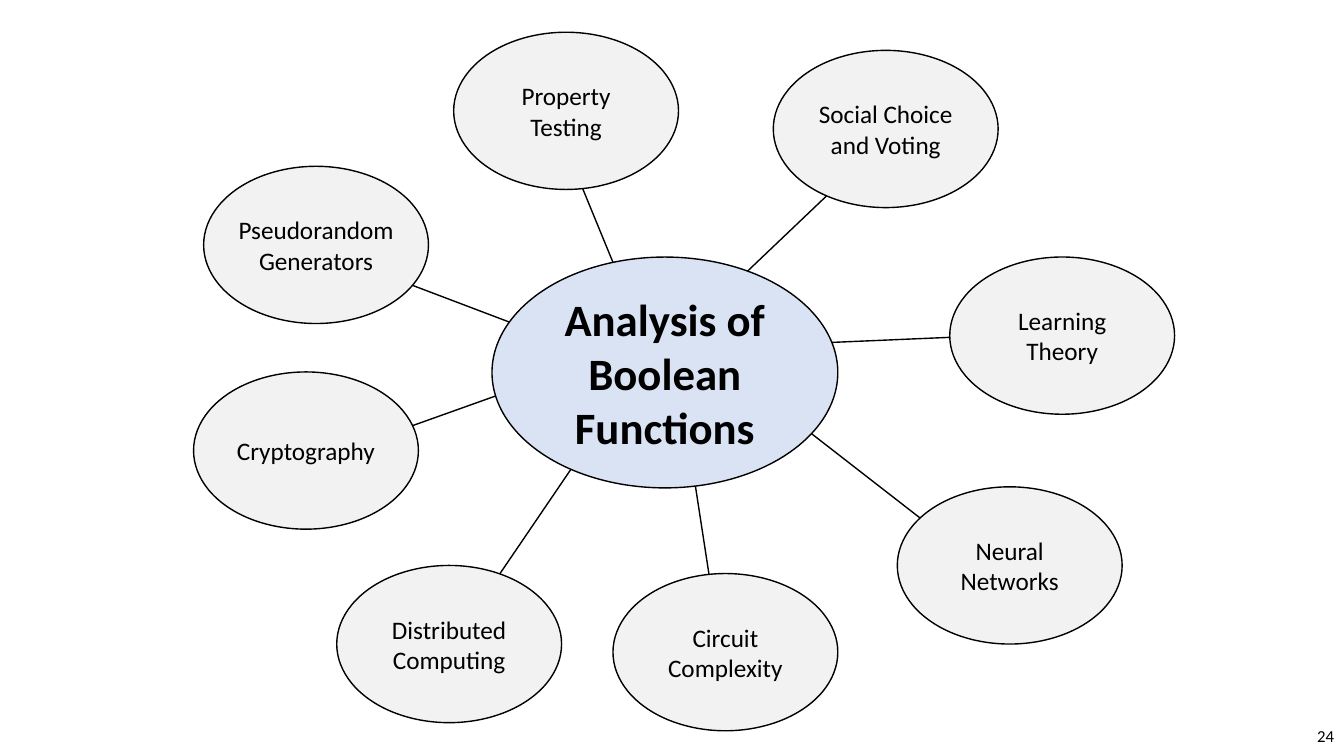
import pptx
import pptx.dml.color
import pptx.enum.shapes
import pptx.enum.text
import pptx.util
from pptx.oxml.ns import qn

EMU_PER_PX = 9144
FONT = "Calibri"
COLORS = {"ink": "000000", "hub": "DAE3F3", "topic": "F2F2F2"}
TOPIC_SIZE = (223, 156)
ALIGN = pptx.enum.text.PP_ALIGN

# label, left, top, inset, spoke start, spoke end
TOPICS = [
    ("Pseudorandom\nGenerators", 202, 165, 0, (393, 277), (538, 332)),
    ("Social Choice and Voting", 767, 50, 10, (837, 178), (732, 278)),
    ("Cryptography", 192, 369, 0, (382, 432), (508, 387)),
    ("Learning Theory", 942, 255, 0, (958, 334), (795, 341)),
    ("Neural Networks", 890, 483, 0, (932, 529), (793, 421)),
    ("Circuit Complexity", 608, 569, 0, (706, 588), (688, 471)),
    ("Distributed Computing", 334, 561, 0, (483, 588), (568, 463)),
    ("Property Testing", 450, 32, 10, (568, 163), (621, 292)),
]


def px(*lengths):
    return [pptx.util.Emu(length * EMU_PER_PX) for length in lengths]


def color(name):
    return pptx.dml.color.RGBColor.from_string(COLORS[name])


def write_text(shape, text, size=18, bold=False, align=ALIGN.CENTER, inset=10):
    frame = shape.text_frame
    frame.word_wrap = True
    frame.vertical_anchor = pptx.enum.text.MSO_ANCHOR.MIDDLE
    frame.margin_left, frame.margin_right = px(inset, inset)
    frame.margin_top, frame.margin_bottom = px(inset // 2, inset // 2)
    frame.text = text
    for paragraph in frame.paragraphs:
        paragraph.alignment = align
        paragraph.font.name = FONT
        paragraph.font.size = pptx.util.Pt(size)
        paragraph.font.bold = bold
        paragraph.font.color.rgb = color("ink")
        for run in paragraph.runs:
            run.font.color.rgb = color("ink")


def style_line(line):
    line.color.rgb = color("ink")
    line.width = pptx.util.Pt(1)


def add_bubble(slide, box, text, fill, **text_format):
    oval = pptx.enum.shapes.MSO_SHAPE.OVAL
    shape = slide.shapes.add_shape(oval, *px(*box))
    shape.shadow.inherit = False
    shape.fill.solid()
    shape.fill.fore_color.rgb = color(fill)
    style_line(shape.line)
    write_text(shape, text, **text_format)


def add_spoke(slide, start, end):
    straight = pptx.enum.shapes.MSO_CONNECTOR.STRAIGHT
    connector = slide.shapes.add_connector(straight, *px(*start, *end))
    style_line(connector.line)
    properties = connector._element.spPr
    properties.append(properties.makeelement(qn("a:effectLst"), {}))


def add_slide_number(slide, number):
    shape = slide.shapes.add_textbox(*px(1033, 710, 300, 40))
    write_text(shape, number, size=12, align=ALIGN.RIGHT)


def main():
    presentation = pptx.Presentation()
    presentation.slide_width, presentation.slide_height = px(1333, 750)
    slide = presentation.slides.add_slide(presentation.slide_layouts[6])
    for label, left, top, inset, start, end in TOPICS:
        add_spoke(slide, start, end)
    add_slide_number(slide, "24")
    add_bubble(slide, (488, 255, 343, 229), "Analysis of Boolean Functions",
               "hub", size=32, bold=True)
    for label, left, top, inset, start, end in TOPICS:
        add_bubble(slide, (left, top, *TOPIC_SIZE), label, "topic", inset=inset)
    presentation.save("out.pptx")


if __name__ == "__main__":
    main()
